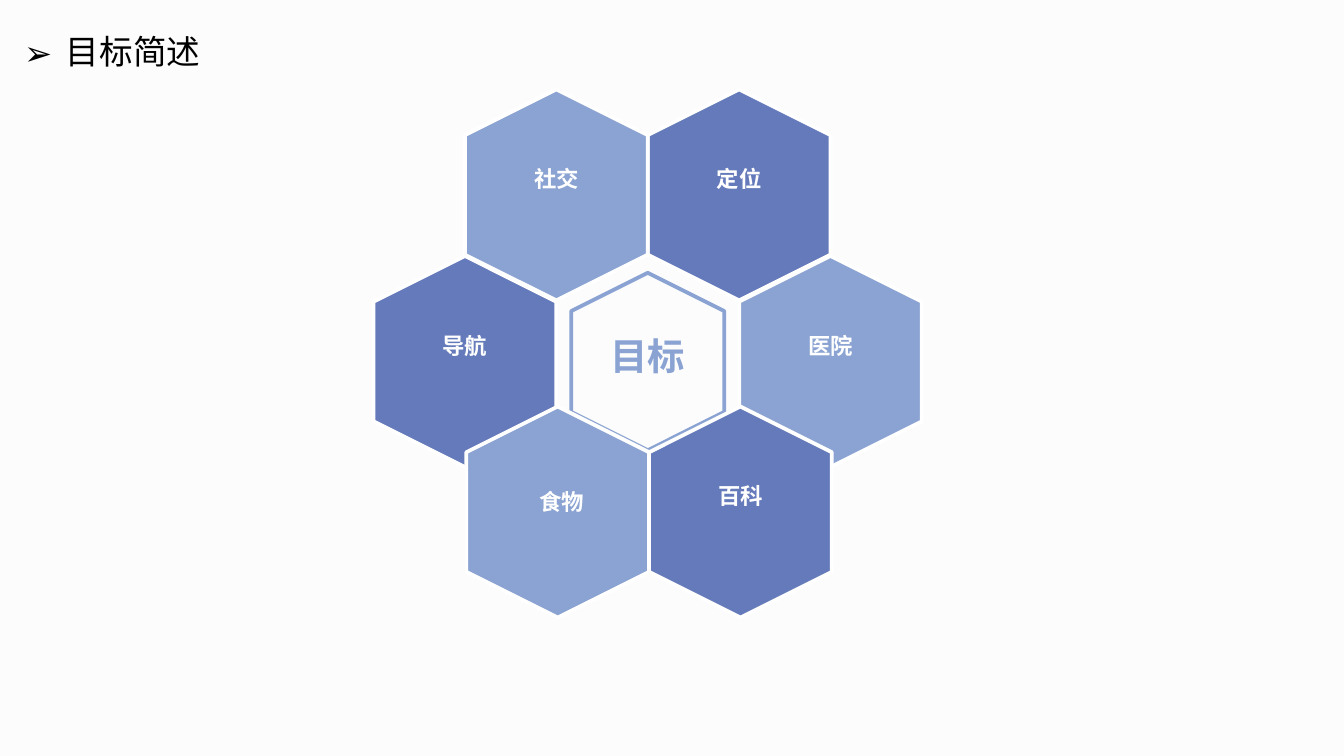
from lxml.etree import SubElement
from pptx import Presentation
from pptx.dml.color import RGBColor
from pptx.enum.shapes import MSO_SHAPE
from pptx.enum.text import MSO_ANCHOR, MSO_AUTO_SIZE, PP_ALIGN
from pptx.oxml.ns import qn
from pptx.util import Inches, Pt

FONT = "Noto Sans CJK SC"
LIGHT, DARK, WHITE, BLACK, PAPER = "8AA3D2", "647ABA", "FFFFFF", "000000", "FCFCFC"

TITLE = "目标简述"
CENTRE = "目标"
# Counter-clockwise from the right: text, columns from the centre, row, label nudge
PETALS = [
    ("医院", 1, 1, (0, 0)),
    ("定位", 0.5, 0, (0, 0)),
    ("社交", -0.5, 0, (0, 0)),
    ("导航", -1, 1, (0, 0)),
    ("食物", -0.5, 2, (0.03, 0.04)),
    ("百科", 0.5, 2, (0, 0)),
]
PETAL_W, PETAL_H = 1.57, 1.36  # before the quarter turn
ROWS = [(4.82, 1.45), (4.82, 2.69), (4.83, 3.81)]  # centre of each row


def rgb(value):
    return RGBColor.from_string(value)


def write(tf, text, size, color, bold, align):
    p = tf.paragraphs[0]
    p.alignment = align
    r = p.add_run()
    r.text = text
    r.font.size, r.font.bold = Pt(size), bold
    r.font.name = FONT
    r.font.color.rgb = rgb(color)
    # East Asian text takes its font from a:ea
    SubElement(r.font._element, qn("a:ea")).set("typeface", FONT)
    return p


def add_hexagon(shapes, cx, cy, w, h, line, fill=None):
    """Hexagon standing on a point, centred on (cx, cy)."""
    sp = shapes.add_shape(MSO_SHAPE.HEXAGON, Inches(cx - w / 2), Inches(cy - h / 2),
                          Inches(w), Inches(h))
    sp.rotation = 270
    sp.shadow.inherit = False
    if fill:
        sp.fill.solid()
        sp.fill.fore_color.rgb = rgb(fill)
    else:
        sp.fill.background()
    sp.line.color.rgb = rgb(line)
    sp.line.width = Pt(2)


def add_label(shapes, text, cx, top, w, h, size, color):
    tf = shapes.add_textbox(Inches(cx - w / 2), Inches(top), Inches(w), Inches(h)).text_frame
    tf.word_wrap = True
    tf.auto_size = MSO_AUTO_SIZE.SHAPE_TO_FIT_TEXT
    write(tf, text, size, color, True, PP_ALIGN.CENTER)


def add_title(s):
    sp = s.shapes.title
    sp.left, sp.top, sp.width, sp.height = map(Inches, (0.08, 0.18, 1.53, 0.4))
    tf = sp.text_frame
    tf.word_wrap = False
    tf.auto_size = MSO_AUTO_SIZE.SHAPE_TO_FIT_TEXT
    tf.vertical_anchor = MSO_ANCHOR.TOP
    p = write(tf, TITLE, 18, BLACK, False, PP_ALIGN.LEFT)
    pPr = p._p.get_or_add_pPr()
    pPr.set("marL", str(Inches(0.31)))
    pPr.set("indent", str(-Inches(0.31)))
    SubElement(pPr, qn("a:buFont")).set("typeface", FONT)
    SubElement(pPr, qn("a:buChar")).set("char", "➢")


def main():
    prs = Presentation()
    prs.slide_width = Inches(10)
    prs.slide_height = prs.slide_width * 9 // 16
    s = prs.slides.add_slide(prs.slide_layouts[5])
    s.background.fill.solid()
    s.background.fill.fore_color.rgb = rgb(PAPER)
    add_title(s)

    mid_x, mid_y = ROWS[1]
    add_hexagon(s.shapes, mid_x, mid_y, 1.32, 1.14, LIGHT)

    for i, (text, column, row, (dx, dy)) in enumerate(PETALS):
        row_x, cy = ROWS[row]
        cx = row_x + column * PETAL_H
        group = s.shapes.add_group_shape()
        add_hexagon(group.shapes, cx, cy, PETAL_W, PETAL_H, WHITE, DARK if i % 2 else LIGHT)
        add_label(group.shapes, text, cx + dx, cy - 0.27 + dy, 1.15, 0.3, 12, WHITE)

    add_label(s.shapes, CENTRE, mid_x, 2.43, 0.91, 0.44, 20, LIGHT)
    prs.save("out.pptx")


if __name__ == "__main__":
    main()
